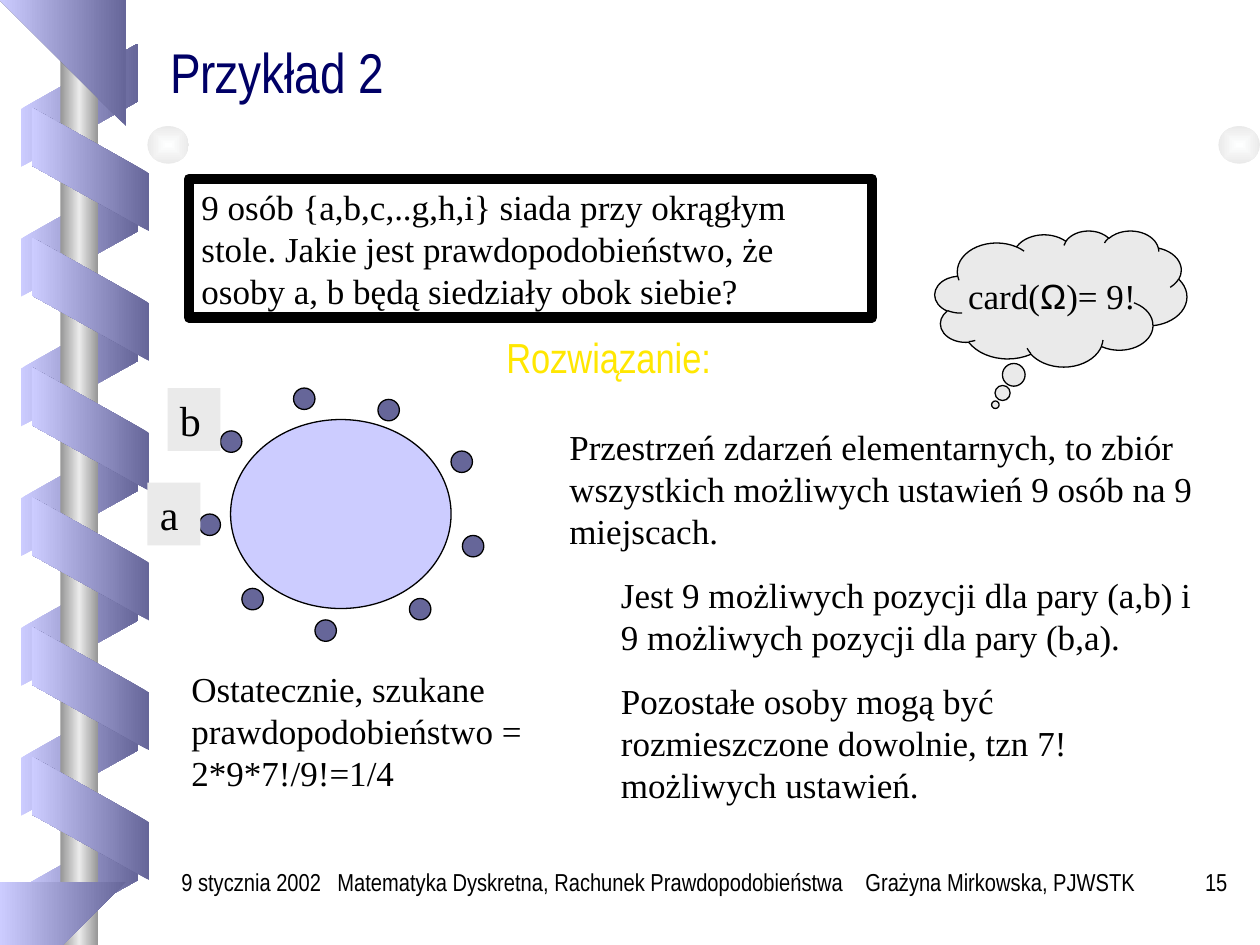
import pptx
import pptx.util
import pptx.oxml
from pptx.dml.color import RGBColor
from pptx.enum.shapes import MSO_SHAPE
from pptx.enum.text import MSO_ANCHOR, MSO_AUTO_SIZE, PP_ALIGN
from pptx.oxml.ns import nsdecls, qn
from pptx.util import Inches, Pt

BLACK = RGBColor(0x00, 0x00, 0x00)
NAVY = RGBColor(0x00, 0x00, 0x66)
LILAC = RGBColor(0xCC, 0xCC, 0xFF)
VIOLET = RGBColor(0x66, 0x66, 0x99)
PALE = RGBColor(0xEA, 0xEA, 0xEA)
GREY = RGBColor(0x96, 0x96, 0x96)
WHITE = RGBColor(0xFE, 0xFF, 0xFF)
YELLOW = RGBColor(0xFF, 0xE7, 0x01)
ORANGE = RGBColor(0xFE, 0x3E, 0x02)

SERIF, NARROW = "Times New Roman", "Arial Narrow"
METAL = [(0, GREY), (50, PALE), (100, GREY)]
FRONT_RIBBON = [(0, VIOLET), (100, LILAC)]
BACK_RIBBON = [(0, LILAC), (100, VIOLET)]
RIBBON_STEP = 1.03

TITLE = "Przykład 2"
TASK = ("9 osób {a,b,c,..g,h,i} siada przy okrągłym stole. Jakie jest "
        "prawdopodobieństwo, że osoby a, b będą siedziały obok siebie?")
SOLUTION = "Rozwiązanie:"
CARDINALITY = [("card(", SERIF), ("Ω", "Arial"), (")= 9!", SERIF)]
NOTES = [  # left, top, width, height, paragraphs
    (4.42, 3.33, 5.17, 1.1,
     ["Przestrzeń zdarzeń elementarnych, to zbiór wszystkich możliwych "
      "ustawień 9 osób na 9 miejscach."]),
    (4.83, 4.5, 4.75, 1.94,
     ["Jest 9 możliwych pozycji dla pary (a,b) i 9 możliwych pozycji dla pary (b,a).",
      "Pozostałe osoby mogą być rozmieszczone dowolnie, tzn 7! możliwych ustawień."]),
    (1.42, 5.25, 3.25, 1.1,
     ["Ostatecznie, szukane prawdopodobieństwo = 2*9*7!/9!=1/4"]),
]
SEATS = [(2.33, 3.08), (3, 3.17), (3.58, 3.58), (3.25, 4.75), (3.67, 4.25),
         (1.75, 3.42), (1.58, 4.08), (1.92, 4.67), (2.5, 4.92)]
SEAT_SIZE = 0.17
PERSONS = [("a", 1.17, 3.83), ("b", 1.33, 3.08)]
FOOTER = [  # text, left, width, alignment
    ("Matematyka Dyskretna, Rachunek Prawdopodobieństwa\tGrażyna Mirkowska, PJWSTK",
     2.58, 6.58, PP_ALIGN.LEFT),
    ("15", 9, 0.84, PP_ALIGN.RIGHT),
    ("9 stycznia 2002", 1.34, 1.41, PP_ALIGN.LEFT),
]
AUTHOR_TAB = 4.19

deck = pptx.Presentation()
deck.slide_width, deck.slide_height = Inches(10), Inches(7.5)
page = deck.slides.add_slide(deck.slide_layouts[5])


def set_gradient(fill, holder, stops, angle=None):
    """Fill with stops at an angle fixed to the page, or from the centre out."""
    fill.gradient()
    old = holder.find(qn("a:gradFill"))
    marks = "".join(f'<a:gs pos="{at * 1000}"><a:srgbClr val="{color}"/></a:gs>'
                    for at, color in stops)
    if angle is None:
        shade = ('<a:path path="rect"><a:fillToRect l="50000" t="50000" '
                 'r="50000" b="50000"/></a:path>')
    else:
        shade = f'<a:lin ang="{angle * 60000}" scaled="0"/>'
    holder.replace(old, pptx.oxml.parse_xml(
        f'<a:gradFill {nsdecls("a")} rotWithShape="0"><a:gsLst>{marks}</a:gsLst>'
        f'{shade}</a:gradFill>'))


def paint(shape, fill=None, line=None, angle=None):
    """Fill may be None, a colour or gradient stops; line is a width in points."""
    shape.shadow.inherit = False
    if fill is None:
        shape.fill.background()
    elif isinstance(fill, list):
        set_gradient(shape.fill, shape.element.spPr, fill, angle)
    else:
        shape.fill.solid()
        shape.fill.fore_color.rgb = fill
    if line is None:
        shape.line.fill.background()
    else:
        shape.line.color.rgb = BLACK
        shape.line.width = Pt(line)
    return shape


def add_preset(kind, left, top, width, height, fill=None, line=None, angle=None):
    shape = page.shapes.add_shape(kind, Inches(left), Inches(top),
                                  Inches(width), Inches(height))
    return paint(shape, fill, line, angle)


def add_outline(points, fill, angle):
    builder = page.shapes.build_freeform(*points[0], scale=Inches(1))
    builder.add_line_segments(points[1:], close=True)
    return paint(builder.convert_to_shape(), fill, angle=angle)


def add_ribbon(left, top, rotation, stops):
    ribbon = add_preset(MSO_SHAPE.PARALLELOGRAM, left, top, 0.98, 0.93, stops, angle=180)
    ribbon.adjustments[0] = 0.56
    ribbon.rotation = rotation
    return ribbon


def add_box(left, top, width, height):
    return page.shapes.add_textbox(Inches(left), Inches(top), Inches(width), Inches(height))


def style(font, size, name, color=BLACK):
    font.size, font.name = Pt(size), name
    font.color.rgb = color


def write(shape, texts, size=20, name=SERIF, align=PP_ALIGN.LEFT):
    frame = shape.text_frame
    frame.word_wrap = True
    frame.vertical_anchor = MSO_ANCHOR.TOP
    for index, text in enumerate(texts):
        para = frame.add_paragraph() if index else frame.paragraphs[0]
        para.text = text
        para.alignment = align
        if index:
            para.space_before = Pt(12.5)
        if "\t" in text:
            para._p.get_or_add_pPr().append(pptx.oxml.parse_xml(
                f'<a:tabLst {nsdecls("a")}><a:tab pos="{Inches(AUTHOR_TAB)}" algn="l"/>'
                '</a:tabLst>'))
        style(para.font, size, name)


# Spiral binding
for turn in range(7):
    ribbon = add_ribbon(0.14, 0.37 + turn * RIBBON_STEP, 90, BACK_RIBBON)
    ribbon.element.spPr.xfrm.set("flipH", "1")
add_preset(MSO_SHAPE.RECTANGLE, 0.48, 0, 0.3, 7.5, METAL, angle=180)
add_outline([(10, 1), (0.76, 1), (0.6, 1.18), (0.76, 1.36), (10, 1.36)], METAL, 90)
for left in (1.17, 9.67):
    add_preset(MSO_SHAPE.OVAL, left, 1, 0.33, 0.3, [(0, WHITE), (100, PALE)])
for turn in range(6):
    add_ribbon(0.23, 0.88 + turn * RIBBON_STEP, 270, FRONT_RIBBON)
add_outline([(0.26, 0), (0.26, 0.29), (1.18, 0.81), (1.18, 0.35), (0.55, 0)],
            FRONT_RIBBON, 180)
add_outline([(1.04, 7.49), (0.25, 7.05), (0.25, 7.5)], FRONT_RIBBON, 180)

# Title and task
title = page.shapes.title
title.left, title.top, title.width, title.height = map(Inches, (1.25, 0.25, 8.5, 0.63))
title.text_frame.text = TITLE
title.text_frame.vertical_anchor = MSO_ANCHOR.BOTTOM
title.text_frame.auto_size = MSO_AUTO_SIZE.NONE
heading = title.text_frame.paragraphs[0]
heading.alignment = PP_ALIGN.LEFT
heading.line_spacing = 0.8
style(heading.font, 32, NARROW, NAVY)
write(add_preset(MSO_SHAPE.RECTANGLE, 1.5, 1.42, 5.42, 1.1, line=6), [TASK])

# Round table with its seats
add_preset(MSO_SHAPE.OVAL, 1.83, 3.33, 1.75, 1.5, LILAC, 0.75)
for left, top in SEATS:
    add_preset(MSO_SHAPE.OVAL, left, top, SEAT_SIZE, SEAT_SIZE, VIOLET, 0.75)
for person, left, top in PERSONS:
    write(add_preset(MSO_SHAPE.RECTANGLE, left, top, 0.42, 0.5, PALE), [person], 24)

# Solution
cloud = add_preset(MSO_SHAPE.CLOUD_CALLOUT, 7.42, 1.83, 2, 1.08, PALE, 0.75)
cloud.adjustments[0], cloud.adjustments[1] = -0.26, 0.78
cloud.text_frame.word_wrap = False
cloud.text_frame.vertical_anchor = MSO_ANCHOR.MIDDLE
formula = cloud.text_frame.paragraphs[0]
formula.alignment = PP_ALIGN.CENTER
for text, name in CARDINALITY:
    span = formula.add_run()
    span.text = text
    style(span.font, 20, name)
for *place, texts in NOTES:
    write(add_box(*place), texts)
label = add_box(3.92, 2.58, 2.6, 0.58)
label.text_frame.word_wrap = False
span = label.text_frame.paragraphs[0].add_run()
span.text = SOLUTION
span.font.size, span.font.name = Pt(24), NARROW
set_gradient(span.font.fill, span._r.get_or_add_rPr(), [(0, YELLOW), (100, ORANGE)], 90)

for text, left, width, align in FOOTER:
    write(add_box(left, 6.83, width, 0.5), [text], 14, NARROW, align)

deck.save("out.pptx")
